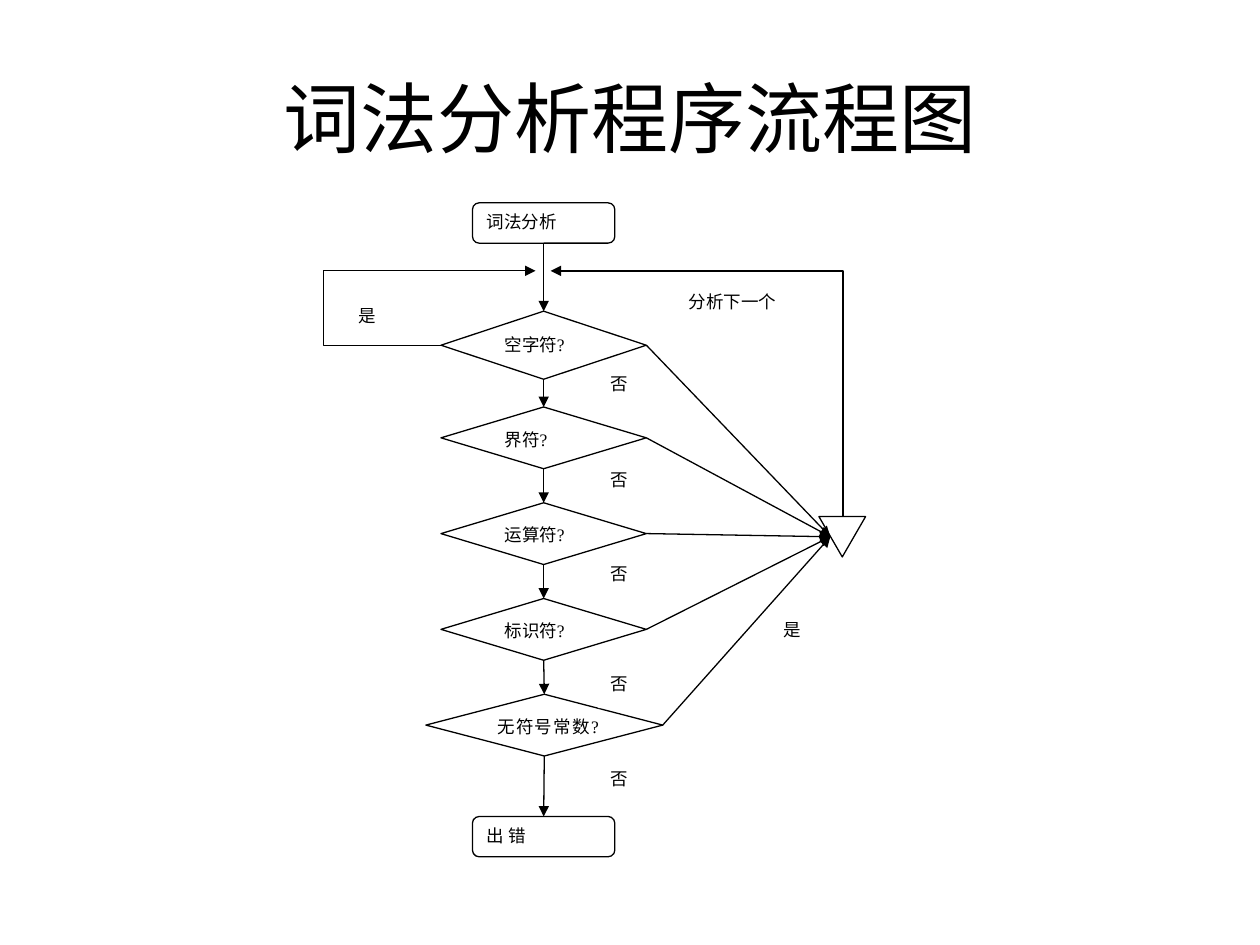
from lxml.etree import SubElement
from pptx import Presentation
from pptx.dml.color import RGBColor
from pptx.enum.shapes import MSO_CONNECTOR as Connector, MSO_SHAPE as Shape
from pptx.enum.text import MSO_ANCHOR as Anchor, PP_ALIGN as Align
from pptx.oxml.ns import qn
from pptx.util import Inches, Pt

BLACK = RGBColor(0, 0, 0)
WHITE = RGBColor(255, 255, 255)

presentation = Presentation()
presentation.slide_width, presentation.slide_height = Inches(10), Inches(7.5)
slide = presentation.slides.add_slide(presentation.slide_layouts[5])


def add_box(kind, left, top, width, height, text="", outlined=True):
    shape = slide.shapes.add_shape(
        kind, Inches(left), Inches(top), Inches(width), Inches(height))
    shape.shadow.inherit = False
    shape.fill.solid()
    shape.fill.fore_color.rgb = WHITE
    if outlined:
        shape.line.color.rgb = BLACK
        shape.line.width = Pt(0.75)
    else:
        shape.line.fill.background()
    if text:
        frame = shape.text_frame
        frame.word_wrap = True
        frame.vertical_anchor = Anchor.TOP
        paragraph = frame.paragraphs[0]
        paragraph.alignment = Align.JUSTIFY
        run = paragraph.add_run()
        run.text = text
        run.font.name = "Times New Roman"
        run.font.size = Pt(10)
        run.font.color.rgb = BLACK
    return shape


def add_arrow(kind, start, end, arrow_end="tailEnd"):
    connector = slide.shapes.add_connector(
        kind, *[Inches(value) for value in (*start, *end)])
    connector.line.color.rgb = BLACK
    connector.line.width = Pt(0.75)
    properties = connector._element.spPr
    SubElement(properties.find(qn("a:ln")), qn("a:" + arrow_end), type="triangle")
    SubElement(properties, qn("a:effectLst"))
    return connector


title = slide.shapes.title
title.left, title.top = Inches(0.5), Inches(0.3)
title.width, title.height = Inches(9), Inches(1.25)
title.text_frame.vertical_anchor = Anchor.MIDDLE
paragraph = title.text_frame.paragraphs[0]
paragraph.alignment = Align.CENTER
run = paragraph.add_run()
run.text = "词法分析程序流程图"
run.font.name = "Arial"
run.font.size = Pt(44)
run.font.color.rgb = BLACK

start_box = add_box(Shape.FLOWCHART_ALTERNATE_PROCESS, 3.75, 1.61, 1.13, 0.32, "词法分析")
decisions = [add_box(Shape.FLOWCHART_DECISION, 3.5, 2.47, 1.63, 0.54, "空字符?")]
for index, text in enumerate(["界符?", "运算符?", "标识符?"]):
    decisions.append(add_box(
        Shape.FLOWCHART_DECISION, 3.5, 3.23 + 0.76 * index, 1.63, 0.49, text))
decisions.append(add_box(Shape.FLOWCHART_DECISION, 3.38, 5.51, 1.88, 0.49, "无符号常数?"))
error_box = add_box(Shape.FLOWCHART_ALTERNATE_PROCESS, 3.75, 6.48, 1.13, 0.32, "出 错")
add_box(Shape.FLOWCHART_MERGE, 6.5, 4.1, 0.37, 0.32)

for left, top, width, text in [
    (2.75, 2.37, 0.5, "是"),
    (4.75, 2.91, 0.5, "否"),
    (4.75, 3.67, 0.5, "否"),
    (4.75, 4.42, 0.5, "否"),
    (4.75, 5.29, 0.5, "否"),
    (4.75, 6.05, 0.5, "否"),
    (6.12, 4.86, 0.5, "是"),
    (5.37, 2.26, 1, "分析下一个"),
]:
    add_box(Shape.RECTANGLE, left, top, width, 0.33, text, outlined=False)

steps = [start_box, *decisions, error_box]
for upper, lower in zip(steps, steps[1:]):
    arrow = add_arrow(Connector.STRAIGHT, (4.31, 2), (4.31, 3))
    arrow.begin_connect(upper, 2)
    arrow.end_connect(lower, 0)

for decision in decisions:
    arrow = add_arrow(Connector.STRAIGHT, (5.13, 3), (6.59, 4.26))
    arrow.begin_connect(decision, 3)

skip_loop = add_arrow(Connector.ELBOW, (3.5, 2.74), (4.25, 2.15))
geometry = skip_loop._element.spPr.find(qn("a:prstGeom"))
guides = geometry.find(qn("a:avLst"))
if guides is None:
    guides = SubElement(geometry, qn("a:avLst"))
SubElement(guides, qn("a:gd"), name="adj1", fmla="val -124100")

next_loop = add_arrow(Connector.ELBOW, (4.37, 2.15), (6.69, 4.1), "headEnd")
next_loop._element.spPr.find(qn("a:prstGeom")).set("prst", "bentConnector2")

presentation.save("out.pptx")
